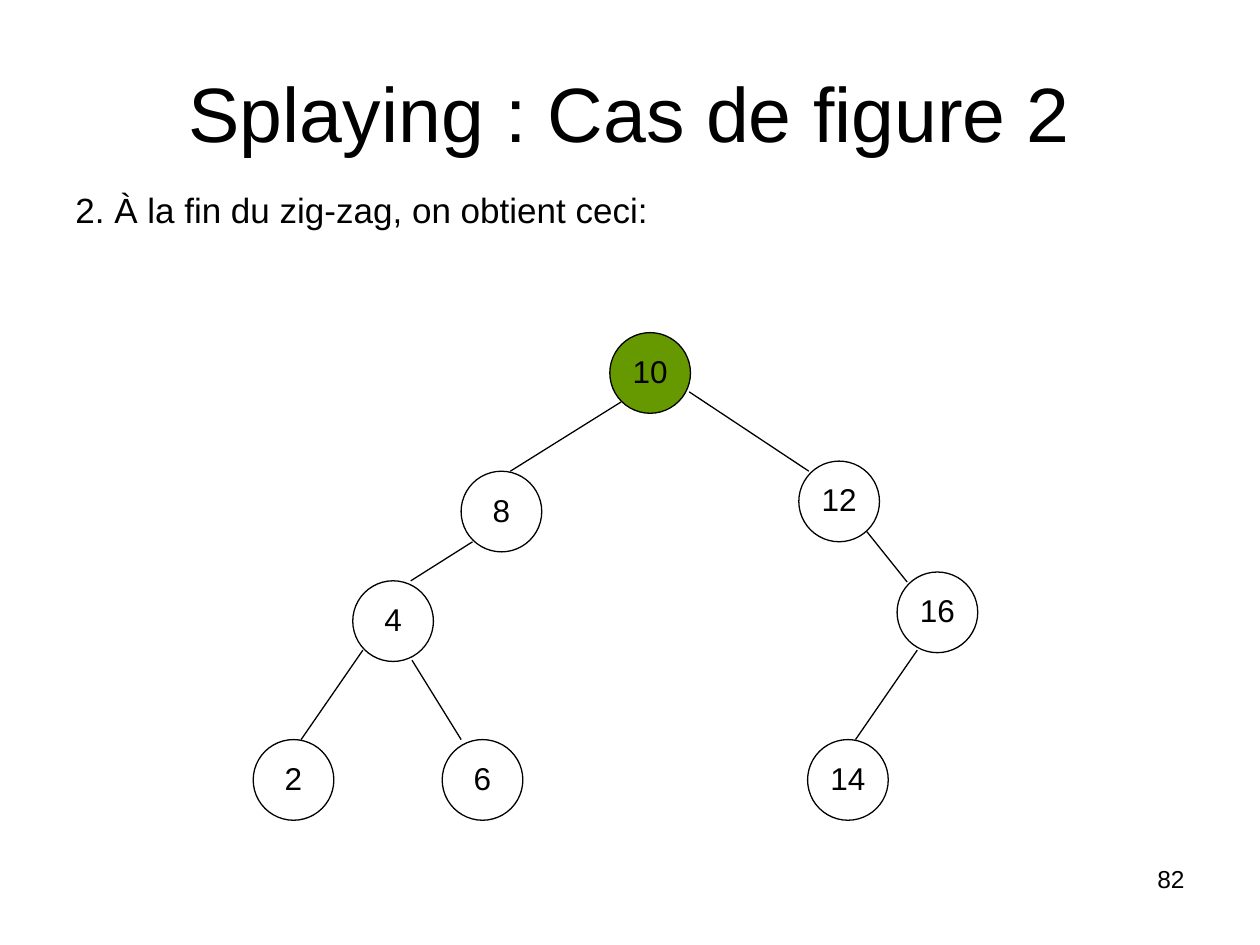
from lxml import etree
from pptx import Presentation
from pptx import util as u
from pptx.dml.color import RGBColor
from pptx.enum import shapes, text
from pptx.oxml.ns import qn

INK = "000000"
SIZE = 0.64
# key: (left, top, fill)
NODES = {
    "10": (4.84, 2.64, "669900"),
    "8": (3.66, 3.74, None),
    "4": (2.8, 4.61, None),
    "12": (6.34, 3.66, None),
    "2": (2.01, 5.87, None),
    "6": (3.51, 5.87, None),
    "16": (7.12, 4.54, None),
    "14": (6.41, 5.87, None),
}
# parent, child: start and end of the edge
EDGES = {
    ("10", "8"): (4.93, 3.19, 4.05, 3.74),
    ("10", "12"): (5.47, 3.11, 6.42, 3.74),
    ("8", "4"): (3.75, 4.3, 3.26, 4.61),
    ("4", "6"): (3.27, 5.24, 3.66, 5.87),
    ("4", "2"): (2.88, 5.16, 2.39, 5.87),
    ("12", "16"): (6.88, 4.22, 7.2, 4.62),
    ("16", "14"): (7.28, 5.16, 6.79, 5.87),
}


def color(code):
    return RGBColor.from_string(code)


def inches(*nums):
    return [u.Inches(n) for n in nums]


def apply(item, form):
    for name, val in form.items():
        setattr(item, name, val)


def write(shape, words, size, align, frame):
    """Fill a shape with one line of text; frame holds text frame values."""
    body = shape.text_frame
    apply(body, frame)
    para = body.paragraphs[0]
    apply(para, {"text": words, "alignment": align, "line_spacing": 0.93})
    apply(para.font, {"name": "Arial", "size": u.Pt(size)})
    para.font.color.rgb = color(INK)
    return para


def label(slide, box, words, size, align, anchor=text.MSO_ANCHOR.TOP):
    shape = slide.shapes.add_textbox(*inches(*box))
    return write(shape, words, size, align,
                 {"word_wrap": True, "vertical_anchor": anchor})


def stroke(shape):
    shape.line.color.rgb = color(INK)
    shape.line.width = u.Pt(0.75)


def node(slide, key, left, top, fill):
    shape = slide.shapes.add_shape(shapes.MSO_SHAPE.OVAL,
                                   *inches(left, top, SIZE, SIZE))
    shape.shadow.inherit = False
    if fill:
        shape.fill.solid()
        shape.fill.fore_color.rgb = color(fill)
    else:
        shape.fill.background()
    stroke(shape)
    sides = dict.fromkeys(
        ("margin_left", "margin_top", "margin_right", "margin_bottom"), 0)
    write(shape, key, 18, text.PP_ALIGN.CENTER,
          {**sides, "word_wrap": False,
           "vertical_anchor": text.MSO_ANCHOR.MIDDLE})


def edge(slide, ends):
    line = slide.shapes.add_connector(shapes.MSO_CONNECTOR.STRAIGHT,
                                      *inches(*ends))
    stroke(line)
    etree.SubElement(line._element.spPr, qn("a:effectLst"))


def tree(slide):
    for key, (left, top, fill) in NODES.items():
        node(slide, key, left, top, fill)
    for ends in EDGES.values():
        edge(slide, ends)


def main():
    deck = Presentation()
    apply(deck, {"slide_width": u.Inches(10), "slide_height": u.Inches(7.5)})
    slide = deck.slides.add_slide(deck.slide_layouts[6])
    align = text.PP_ALIGN
    label(slide, (7.17, 6.83, 2.33, 0.52), "82", 14, align.RIGHT)
    label(slide, (0.5, 0.53, 9, 0.79), "Splaying : Cas de figure 2", 44,
          align.CENTER, text.MSO_ANCHOR.MIDDLE)
    step = label(slide, (0.5, 1.48, 9, 0.42),
                 "2. À la fin du zig-zag, on obtient ceci:", 20, align.LEFT)
    props = step._p.get_or_add_pPr()
    hang = u.Inches(0.37)
    props.set("marL", str(hang))
    props.set("indent", str(-hang))
    tree(slide)
    deck.save("out.pptx")


if __name__ == "__main__":
    main()
